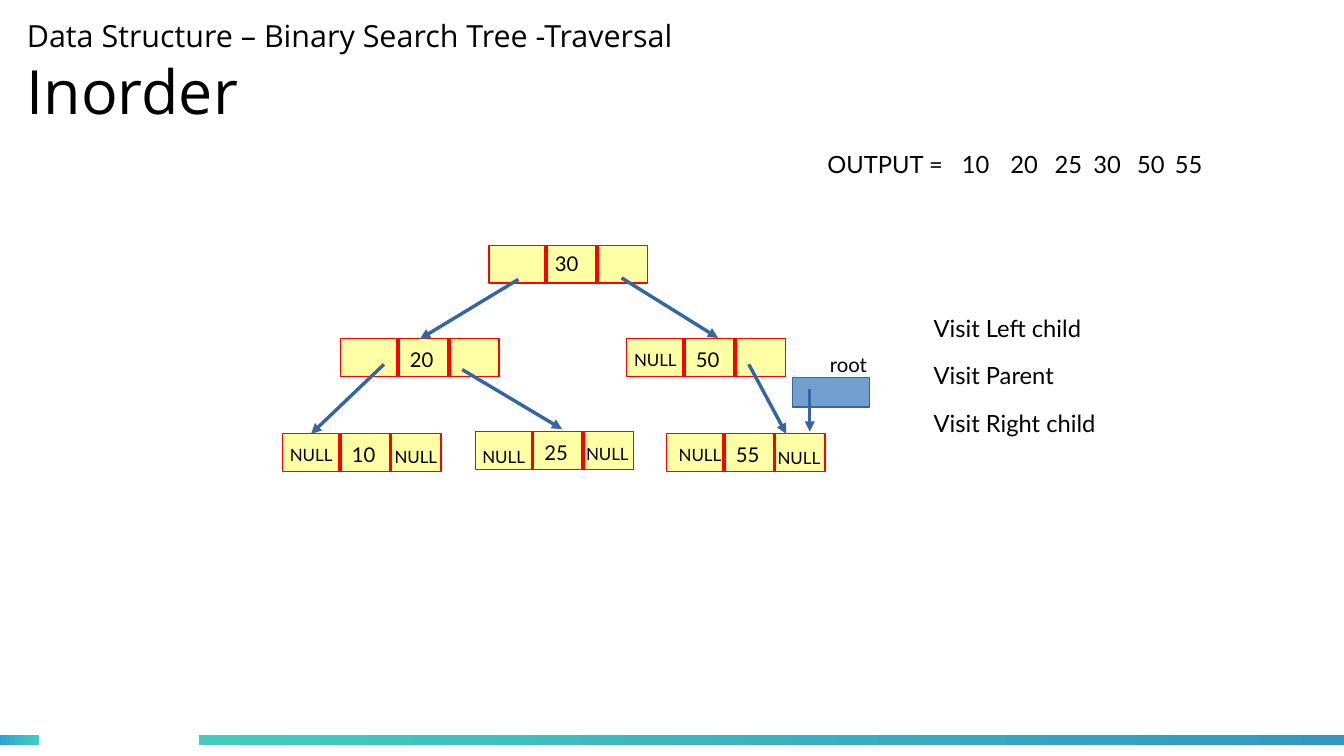
from lxml.etree import SubElement
from pptx import Presentation
from pptx.dml.color import RGBColor
from pptx.enum.shapes import MSO_CONNECTOR as Link, MSO_SHAPE as Preset
from pptx.enum.text import MSO_ANCHOR as Anchor
from pptx.oxml.ns import qn
from pptx.util import Cm, Pt

COLORS = {
    "text": "000000", "node": "FFFFA6", "node_line": "FF0000",
    "root": "729FCF", "arrow": "3465A4",
    "teal": "43CCBD", "sky": "30A2D2", "ocean": "3497C1",
}

# All lengths are in centimetres.
HEADING = [("Data Structure – Binary Search Tree -Traversal", 18), ("Inorder", 36)]
STEPS = ["Visit Left child", "Visit Parent", "Visit Right child"]
OUTPUT_LABEL = "OUTPUT ="
OUTPUT = [("10", 19.79), ("20", 20.8), ("25", 21.72),
          ("30", 22.53), ("50", 23.44), ("55", 24.23)]
OUTPUT_TOP = 3.0

NODE_W, NODE_H = 3.3, 0.79
DIVIDERS = (1.19, 2.25)
# key: (left, top), key offset, offsets of the NULL labels
NODES = {
    "30": ((10.19, 5.11), (1.12, 0), []),
    "20": ((7.1, 7.06), (1.19, 0.05), []),
    "50": ((13.06, 7.06), (1.19, 0.05), [(-0.1, 0.1)]),
    "10": ((5.89, 9.04), (1.19, 0.05), [(-0.1, 0.1), (2.08, 0.13)]),
    "25": ((9.9, 8.99), (1.19, 0.05), [(-0.1, 0.18), (2.06, 0.13)]),
    "55": ((13.89, 9.04), (1.19, 0.05), [(0, 0.1), (2.06, 0.15)]),
}
# start, end, key of the node joined at its top middle
ARROWS = [
    ((10.8, 5.82), (8.75, 7.06), "20"),
    ((12.95, 5.79), (14.96, 7.04), None),
    ((15.6, 7.59), (16.38, 9.04), None),
    ((8.0, 7.59), (6.48, 9.04), None),
    ((9.63, 7.7), (11.71, 8.94), None),
    ((16.87, 8.1), (16.87, 8.99), None),
]
ROOT_BOX = (16.51, 7.87, 1.6, 0.61)
FOOTER = [((0, 15.32, 0.81, 0.2), ("sky", "teal")),
          ((4.14, 15.32, 23.86, 0.2), ("teal", "ocean"))]


def rgb(name):
    return RGBColor.from_string(COLORS[name])


def add_text(shapes, lines, box, size=12, font="Lato", wrap=False,
             inset=(0.25, 0.13), anchor=Anchor.TOP, gap=0):
    """Add a text box; each line is a string or a (string, size) pair."""
    frame = shapes.add_textbox(*map(Cm, box)).text_frame
    frame.word_wrap = wrap
    frame.vertical_anchor = anchor
    frame.margin_left = frame.margin_right = Cm(inset[0])
    frame.margin_top = frame.margin_bottom = Cm(inset[1])
    for i, line in enumerate(lines):
        words, points = line if isinstance(line, tuple) else (line, size)
        paragraph = frame.add_paragraph() if i else frame.paragraphs[0]
        paragraph.space_before = Pt(gap if i else 0)
        paragraph.space_after = Pt(gap)
        run = paragraph.add_run()
        run.text = words
        run.font.name, run.font.size = font, Pt(points)
        run.font.color.rgb = rgb("text")


def add_box(shapes, box, fill, line):
    rect = shapes.add_shape(Preset.RECTANGLE, *map(Cm, box))
    rect.shadow.inherit = False
    rect.fill.solid()
    rect.fill.fore_color.rgb = rgb(fill)
    rect.line.color.rgb = rgb(line)
    rect.line.width = Pt(0)
    return rect


def add_line(shapes, start, end, color, arrow=False):
    line = shapes.add_connector(Link.STRAIGHT, *map(Cm, (*start, *end)))
    line.line.color.rgb = rgb(color)
    line.line.width = Pt(0)
    if arrow:
        SubElement(line.line._get_or_add_ln(), qn("a:tailEnd"), type="triangle")
    SubElement(line._element.spPr, qn("a:effectLst"))
    return line


def add_node(shapes, key, place, key_offset, null_offsets):
    """Draw a three-cell node with its labels and return its rectangle."""
    left, top = place
    group = shapes.add_group_shape().shapes
    rect = add_box(group, (left, top, NODE_W, NODE_H), "node", "node_line")
    for offset in DIVIDERS:
        x = left + offset
        add_line(group, (x, top), (x, top + NODE_H), "node_line")
    add_text(shapes, [key], (left + key_offset[0], top + key_offset[1], 1.05, 0.84))
    for dx, dy in null_offsets:
        add_text(shapes, ["NULL"], (left + dx, top + dy, 1.42, 0.74), size=10)
    return rect


def add_footer_bar(shapes, box, ends):
    bar = shapes.add_shape(Preset.RECTANGLE, *map(Cm, box))
    bar.shadow.inherit = False
    bar.line.fill.background()
    bar.fill.gradient()
    bar.fill.gradient_angle = 0
    for stop, name in zip(bar.fill.gradient_stops, ends):
        stop.color.rgb = rgb(name)


def main():
    deck = Presentation()
    deck.slide_width, deck.slide_height = Cm(28), Cm(15.75)
    shapes = deck.slides.add_slide(deck.slide_layouts[6]).shapes

    for box, ends in FOOTER:
        add_footer_bar(shapes, box, ends)
    add_text(shapes, HEADING, (0.56, 0.2, 19.5, 2.6), font="Open Sans",
             wrap=True, inset=(0, 0), anchor=Anchor.MIDDLE)

    rects = {key: add_node(shapes, key, *parts) for key, parts in NODES.items()}
    add_box(shapes, ROOT_BOX, "root", "arrow")
    add_text(shapes, ["root"], (17.04, 7.21, 1.35, 0.84))
    for start, end, joined in ARROWS:
        arrow = add_line(shapes, start, end, "arrow", arrow=True)
        if joined:
            arrow.end_connect(rects[joined], 0)

    add_text(shapes, [OUTPUT_LABEL], (16.99, OUTPUT_TOP, 3.1, 0.91), size=14)
    for value, left in OUTPUT:
        add_text(shapes, [value], (left, OUTPUT_TOP, 1.3, 0.91), size=14, wrap=True)
    add_text(shapes, STEPS, (19.2, 6.4, 6.2, 2.67), size=14, wrap=True, gap=5.7)

    deck.save("out.pptx")


if __name__ == "__main__":
    main()
